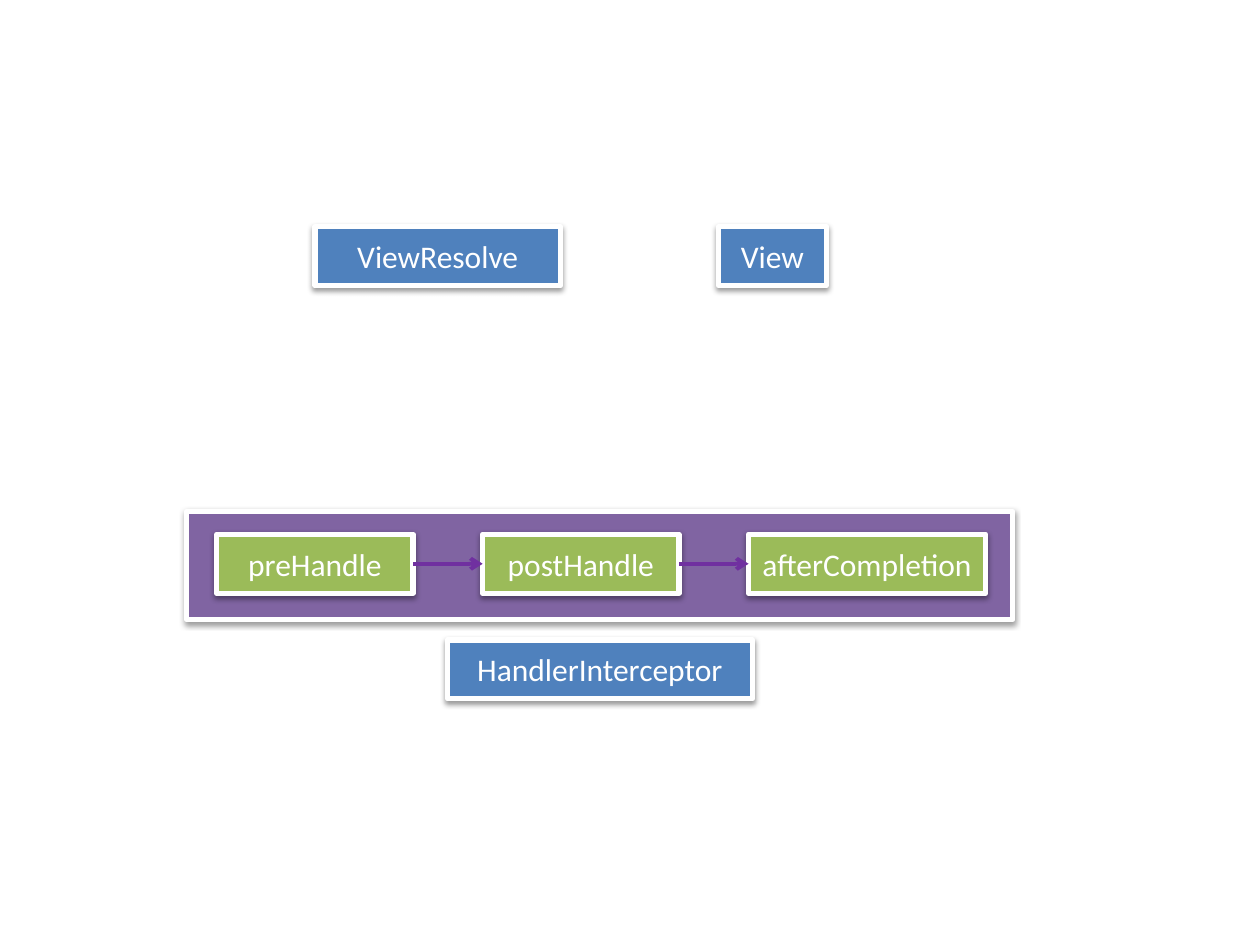
from dataclasses import dataclass

from lxml import etree
from pptx import Presentation
from pptx.dml.color import RGBColor
from pptx.enum.shapes import MSO_CONNECTOR, MSO_SHAPE
from pptx.enum.text import MSO_ANCHOR, PP_ALIGN
from pptx.oxml.ns import qn
from pptx.shapes.autoshape import Shape
from pptx.shapes.shapetree import GroupShapes, SlideShapes
from pptx.text.text import TextFrame
from pptx.util import Cm, Pt

RECTANGLE = MSO_SHAPE.RECTANGLE
STRAIGHT = MSO_CONNECTOR.STRAIGHT
MIDDLE = MSO_ANCHOR.MIDDLE
CENTER = PP_ALIGN.CENTER

WHITE = RGBColor(0xFF, 0xFF, 0xFF)
BLUE = RGBColor(0x4F, 0x81, 0xBD)
GREEN = RGBColor(0x9B, 0xBB, 0x59)
PURPLE = RGBColor(0x80, 0x64, 0xA2)
VIOLET = RGBColor(0x70, 0x30, 0xA0)

LEFT_SIDE, RIGHT_SIDE = 1, 3
BOX_HEIGHT = 1.19
STEP_LEFT, STEP_TOP, STEP_GAP = 4.37, 10.77, 1.4


@dataclass(frozen=True)
class Block:
    left: float
    top: float
    width: float
    fill: RGBColor
    text: str = ""
    height: float = BOX_HEIGHT


VIEW_BLOCKS = [
    Block(6.35, 4.57, 4.95, BLUE, "ViewResolve"),
    Block(14.48, 4.57, 2.18, BLUE, "View"),
]
CHAIN_PANEL = Block(3.76, 10.31, 16.66, PURPLE, height=2.18)
INTERCEPTOR = Block(9.02, 12.9, 6.15, BLUE, "HandlerInterceptor")
STEPS = [("preHandle", 3.96), ("postHandle", 3.96), ("afterCompletion", 4.78)]


def write_text(frame: TextFrame, text: str, *, size: int, font: str, color: RGBColor) -> None:
    frame.word_wrap = False
    frame.vertical_anchor = MIDDLE
    para = frame.paragraphs[0]
    para.alignment = CENTER
    span = para.add_run()
    span.text = text
    span.font.size = Pt(size)
    span.font.name = font
    span.font.color.rgb = color


def add_soft_shadow(box: Shape) -> None:
    box.shadow.inherit = False
    effects = box.element.spPr.find(qn("a:effectLst"))
    shadow = etree.SubElement(
        effects, qn("a:outerShdw"), blurRad="40000", dist="20000", dir="5400000", rotWithShape="0"
    )
    color = etree.SubElement(shadow, qn("a:srgbClr"), val="000000")
    etree.SubElement(color, qn("a:alpha"), val="38000")


def draw_block(shapes: SlideShapes | GroupShapes, block: Block) -> Shape:
    box = shapes.add_shape(
        RECTANGLE, Cm(block.left), Cm(block.top), Cm(block.width), Cm(block.height)
    )
    box.fill.solid()
    box.fill.fore_color.rgb = block.fill
    box.line.color.rgb = WHITE
    box.line.width = Pt(3)
    add_soft_shadow(box)
    if block.text:
        write_text(box.text_frame, block.text, size=18, font="Calibri", color=WHITE)
    return box


def draw_arrow(shapes: GroupShapes, source: Shape, target: Shape) -> None:
    middle = source.top + source.height // 2
    arrow = shapes.add_connector(
        STRAIGHT, source.left + source.width, middle, target.left, middle
    )
    arrow.begin_connect(source, RIGHT_SIDE)
    arrow.end_connect(target, LEFT_SIDE)
    arrow.line.color.rgb = VIOLET
    arrow.line.width = Pt(2.25)
    properties = arrow.element.spPr
    etree.SubElement(properties.find(qn("a:ln")), qn("a:tailEnd"), type="arrow")
    etree.SubElement(properties, qn("a:effectLst"))


def draw_chain(shapes: SlideShapes) -> None:
    members = shapes.add_group_shape().shapes
    draw_block(members, CHAIN_PANEL)
    boxes = []
    left = STEP_LEFT
    for text, width in STEPS:
        boxes.append(draw_block(members, Block(left, STEP_TOP, width, GREEN, text)))
        left += width + STEP_GAP
    for source, target in zip(boxes, boxes[1:]):
        draw_arrow(members, source, target)


def main() -> None:
    deck = Presentation()
    deck.slide_width, deck.slide_height = Cm(25.4), Cm(19.05)
    page = deck.slides.add_slide(deck.slide_layouts[6])
    for block in VIEW_BLOCKS:
        draw_block(page.shapes, block)
    draw_chain(page.shapes)
    draw_block(page.shapes, INTERCEPTOR)
    deck.save("out.pptx")


if __name__ == "__main__":
    main()
